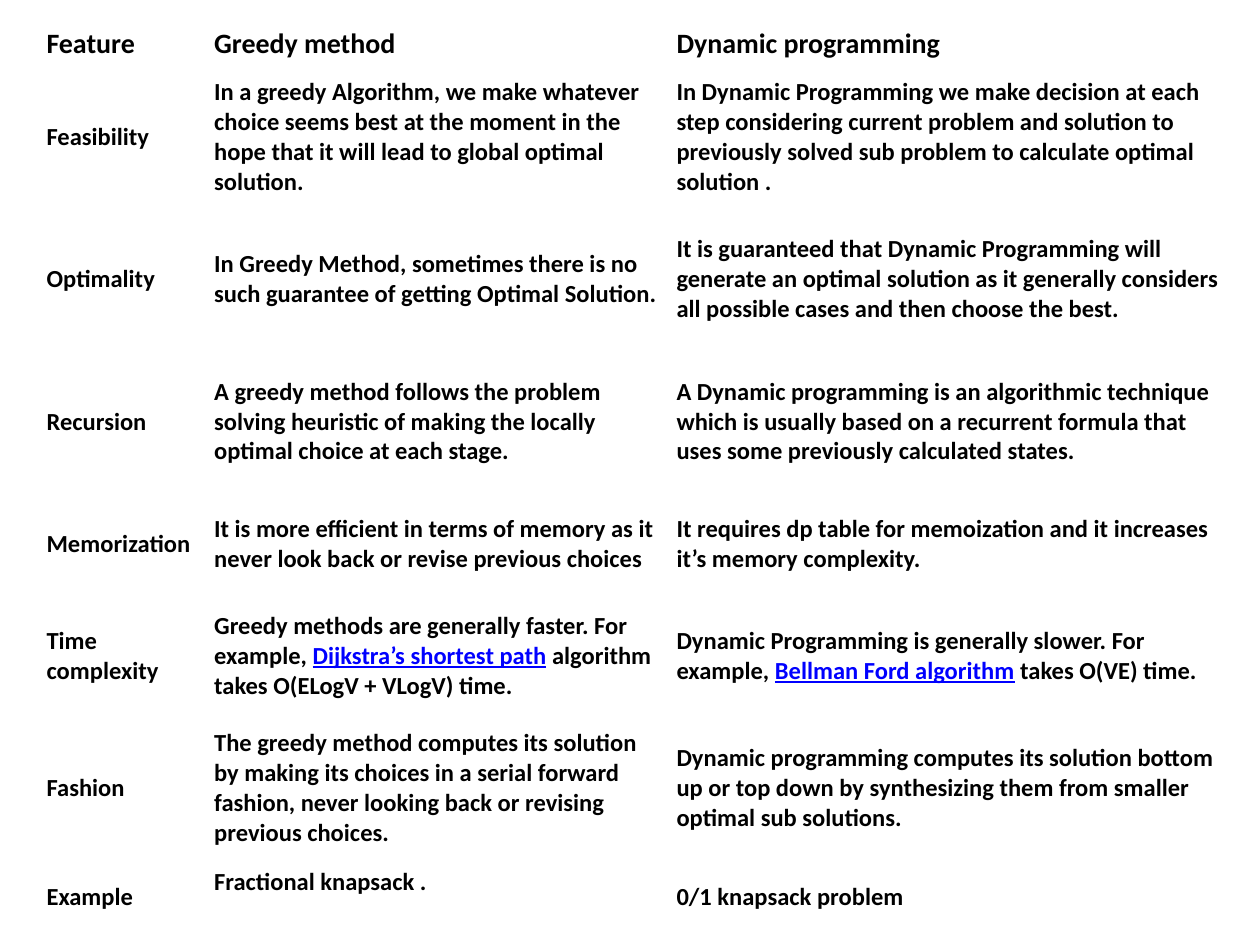
from pptx import Presentation
from pptx.dml.color import RGBColor
from pptx.enum.text import MSO_ANCHOR
from pptx.util import Inches, Pt

MIDDLE = MSO_ANCHOR.MIDDLE
COLS = [1.33, 3.67, 4.42]
HEIGHTS = [0.35, 1.13, 1.13, 1.13, 0.81, 0.97, 1.13, 0.6]
LINKS = ["Dijkstra’s shortest path", "Bellman Ford algorithm"]
ROWS = [
    ["Feature", "Greedy method", "Dynamic programming"],
    ["Feasibility",
     "In a greedy Algorithm, we make whatever choice seems best at the moment "
     "in the hope that it will lead to global optimal solution.",
     "In Dynamic Programming we make decision at each step considering current "
     "problem and solution to previously solved sub problem to calculate "
     "optimal solution ."],
    ["Optimality",
     "In Greedy Method, sometimes there is no such guarantee of getting "
     "Optimal Solution.",
     "It is guaranteed that Dynamic Programming will generate an optimal "
     "solution as it generally considers all possible cases and then choose "
     "the best."],
    ["Recursion",
     "A greedy method follows the problem solving heuristic of making the "
     "locally optimal choice at each stage.",
     "A Dynamic programming is an algorithmic technique which is usually based "
     "on a recurrent formula that uses some previously calculated states."],
    ["Memorization",
     "It is more efficient in terms of memory as it never look back or revise "
     "previous choices",
     "It requires dp table for memoization and it increases it’s memory "
     "complexity."],
    ["Time complexity",
     "Greedy methods are generally faster. For example, Dijkstra’s shortest "
     "path algorithm takes O(ELogV + VLogV) time.",
     "Dynamic Programming is generally slower. For example, Bellman Ford "
     "algorithm takes O(VE) time."],
    ["Fashion",
     "The greedy method computes its solution by making its choices in a "
     "serial forward fashion, never looking back or revising previous choices.",
     "Dynamic programming computes its solution bottom up or top down by "
     "synthesizing them from smaller optimal sub solutions."],
    ["Example", "Fractional knapsack .", "0/1 knapsack problem"],
]


def color(code):
    return RGBColor.from_string(code)


def split(text):
    for link in LINKS:
        if link in text:
            before, after = text.split(link)
            return [(before, False), (link, True), (after, False)]
    return [(text, False)]


class Deck:
    font = "Calibri"
    ink = "000000"
    blue = "0000FF"
    paper = "FFFFFF"

    def __init__(self, slide):
        self.slide = slide

    def run(self, para, text, size, link):
        run = para.add_run()
        run.text = text
        font = run.font
        font.name = self.font
        font.size = Pt(size)
        font.bold = True
        font.underline = link
        font.color.rgb = color(self.blue if link else self.ink)

    def cell(self, cell, text, size, pad):
        cell.fill.solid()
        cell.fill.fore_color.rgb = color(self.paper)
        cell.vertical_anchor = MIDDLE
        cell.margin_left = cell.margin_right = Inches(0.04)
        cell.margin_top = cell.margin_bottom = Inches(pad)
        para = cell.text_frame.paragraphs[0]
        for part, link in split(text):
            self.run(para, part, size, link)

    def table(self, left, top, cols, heights, rows):
        frame = self.slide.shapes.add_table(
            len(rows), len(cols), Inches(left), Inches(top),
            Inches(sum(cols)), Inches(sum(heights)))
        table = frame.table
        table.first_row = table.horz_banding = False
        for col, width in zip(table.columns, cols):
            col.width = Inches(width)
        for row, height, texts in zip(table.rows, heights, rows):
            row.height = Inches(height)
            head = texts is rows[0]
            for cell, text in zip(row.cells, texts):
                self.cell(cell, text, 16 if head else 14, 0.04 if head else 0.06)
        return table


def main():
    show = Presentation()
    show.slide_width = Inches(10)
    show.slide_height = Inches(7.5)
    deck = Deck(show.slides.add_slide(show.slide_layouts[6]))
    table = deck.table(0.33, 0.17, COLS, HEIGHTS, ROWS)
    table.cell(len(ROWS) - 1, 1).margin_bottom = Inches(0.3)
    show.save("out.pptx")


if __name__ == "__main__":
    main()
